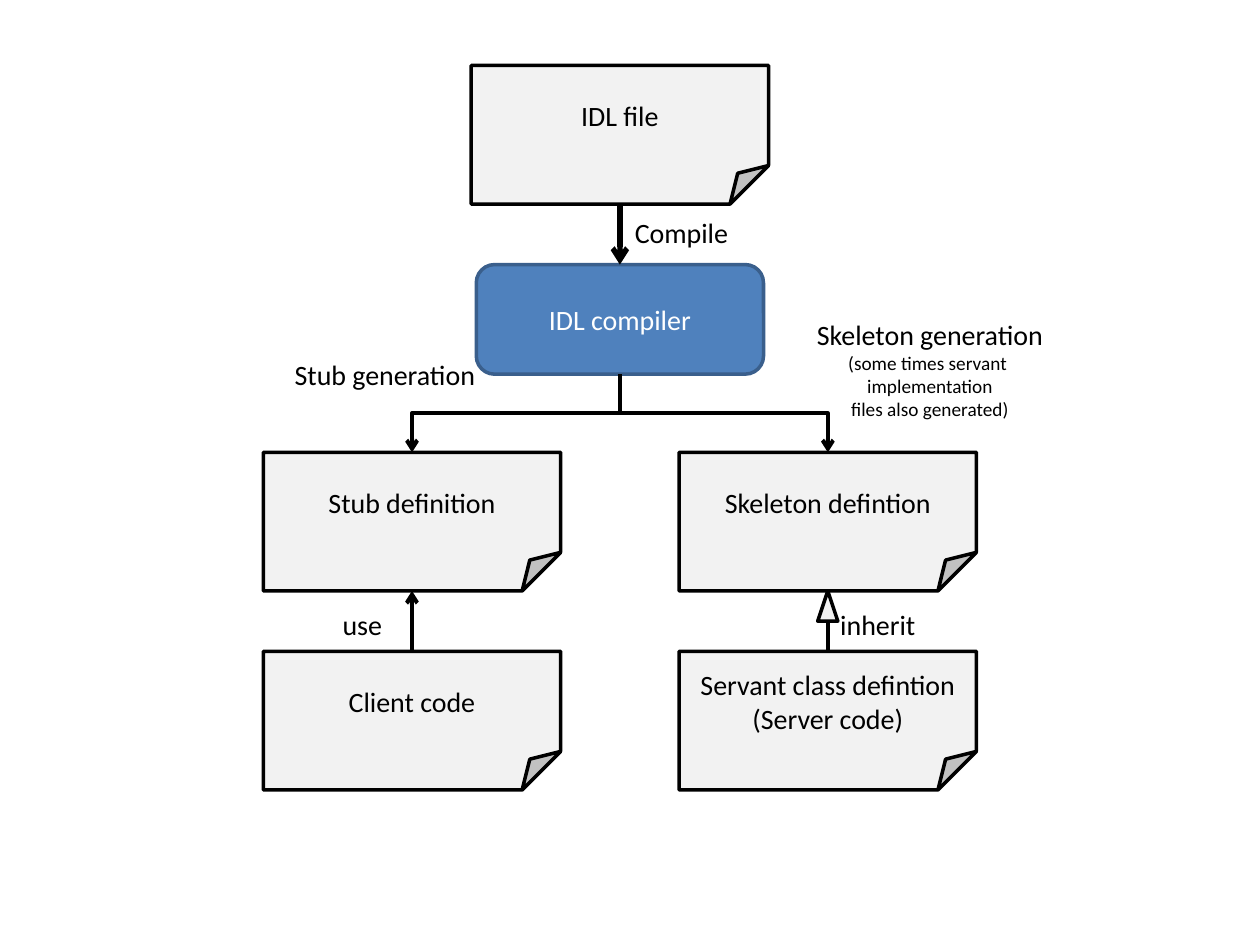
from lxml.etree import SubElement
from pptx import Presentation
from pptx.dml.color import RGBColor
from pptx.enum.shapes import MSO_CONNECTOR as LINK, MSO_SHAPE as SHAPE
from pptx.enum.text import MSO_ANCHOR, MSO_AUTO_SIZE, PP_ALIGN
from pptx.oxml.ns import qn
from pptx.util import Inches, Pt

BLACK = RGBColor(0x00, 0x00, 0x00)
WHITE = RGBColor(0xFF, 0xFF, 0xFF)
PAPER = RGBColor(0xF2, 0xF2, 0xF2)
BLUE = RGBColor(0x4F, 0x81, 0xBD)
DARK_BLUE = RGBColor(0x3A, 0x5F, 0x8C)
FONT = "Calibri"
TOP, BOTTOM = 0, 2  # connection sites

FILE_WIDTH, FILE_HEIGHT = 2.36, 1.1
CENTER, STUB_X, SKELETON_X = 4.92, 3.27, 6.57


def write(frame, lines, color, align, sizes=(16,)):
    """Fill a text frame, one paragraph a line; the last size repeats."""
    for index, line in enumerate(lines):
        para = frame.paragraphs[0] if index == 0 else frame.add_paragraph()
        para.text = line
        para.alignment = align
        para.font.name = FONT
        para.font.size = Pt(sizes[min(index, len(sizes) - 1)])
        para.font.color.rgb = color


def add_box(page, kind, box, lines=(), fill=PAPER, outline=BLACK, color=BLACK):
    """Draw an outlined shape with centred text in box (left, top, width, height)."""
    shape = page.shapes.add_shape(kind, *map(Inches, box))
    shape.shadow.inherit = False
    shape.fill.solid()
    shape.fill.fore_color.rgb = fill
    shape.line.color.rgb = outline
    shape.line.width = Pt(2)
    shape.text_frame.vertical_anchor = MSO_ANCHOR.MIDDLE
    write(shape.text_frame, lines, color, PP_ALIGN.CENTER)
    return shape


def add_file(page, center, top, *lines):
    """Draw a sheet with a folded corner, centred on a column."""
    box = (center - FILE_WIDTH / 2, top, FILE_WIDTH, FILE_HEIGHT)
    sheet = add_box(page, SHAPE.FOLDED_CORNER, box, lines)
    guides = next(sheet._element.iter(qn("a:avLst")))
    SubElement(guides, qn("a:gd"), name="adj", fmla="val 27800")
    return sheet


def add_label(page, box, *lines, align=PP_ALIGN.LEFT, sizes=(16,)):
    """Write an unwrapped label in box."""
    label = page.shapes.add_textbox(*map(Inches, box))
    label.text_frame.word_wrap = False
    label.text_frame.auto_size = MSO_AUTO_SIZE.SHAPE_TO_FIT_TEXT
    write(label.text_frame, lines, BLACK, align, sizes)


def link(page, start, start_site, end, end_site, kind=LINK.STRAIGHT,
         width=2.25, arrow=True):
    """Join two shapes with a black line, by default with an arrowhead."""
    line = page.shapes.add_connector(kind, 0, 0, 0, 0)
    line.begin_connect(start, start_site)
    line.end_connect(end, end_site)
    line.line.color.rgb = BLACK
    line.line.width = Pt(width)
    if arrow:
        SubElement(line.line._get_or_add_ln(), qn("a:tailEnd"), type="arrow")
    SubElement(line._element.spPr, qn("a:effectLst"))
    return line


def branch(page, start, end):
    """Join two shapes with an elbow that leaves and arrives vertically."""
    line = link(page, start, BOTTOM, end, TOP, LINK.ELBOW)
    goes_right = line.end_x > line.begin_x
    center_x = (line.begin_x + line.end_x) // 2
    center_y = (line.begin_y + line.end_y) // 2
    width, height = line.height, line.width
    line.left, line.top = center_x - width // 2, center_y - height // 2
    line.width, line.height = width, height
    frame = line._element.spPr.find(qn("a:xfrm"))
    frame.set("rot", str((270 if goes_right else 90) * 60000))
    frame.set("flipH", "1" if goes_right else "0")


def add_diagram(page):
    """Draw the flow from the IDL file to client and server code."""
    idl_file = add_file(page, CENTER, 0.52, "IDL file")
    compiler = add_box(page, SHAPE.ROUNDED_RECTANGLE, (CENTER - 1.14, 2.1, 2.28, 0.87),
                       ["IDL compiler"], BLUE, DARK_BLUE, WHITE)
    stub = add_file(page, STUB_X, 3.59, "Stub definition")
    skeleton = add_file(page, SKELETON_X, 3.59, "Skeleton defintion")
    client = add_file(page, STUB_X, 5.17, "Client code")
    servant = add_file(page, SKELETON_X, 5.17, "Servant class defintion", "(Server code)")

    link(page, idl_file, BOTTOM, compiler, TOP, width=3)
    branch(page, compiler, stub)
    branch(page, compiler, skeleton)
    link(page, client, TOP, stub, BOTTOM)
    link(page, servant, TOP, skeleton, BOTTOM, arrow=False)
    add_box(page, SHAPE.ISOSCELES_TRIANGLE, (SKELETON_X - 0.08, 4.69, 0.16, 0.24))

    add_label(page, (4.94, 1.66, 0.95, 0.37), "Compile")
    add_label(page, (2.24, 2.79, 1.65, 0.37), "Stub generation")
    add_label(page, (6.37, 2.47, 2.02, 0.93), "Skeleton generation",
              "(some times servant ", "implementation", "files also generated)",
              align=PP_ALIGN.CENTER, sizes=(16, 11))
    add_label(page, (6.57, 4.77, 0.81, 0.37), "inherit")
    add_label(page, (2.62, 4.77, 0.52, 0.37), "use")


deck = Presentation()
deck.slide_width, deck.slide_height = Inches(10), Inches(7.5)
add_diagram(deck.slides.add_slide(deck.slide_layouts[6]))
deck.save("out.pptx")
